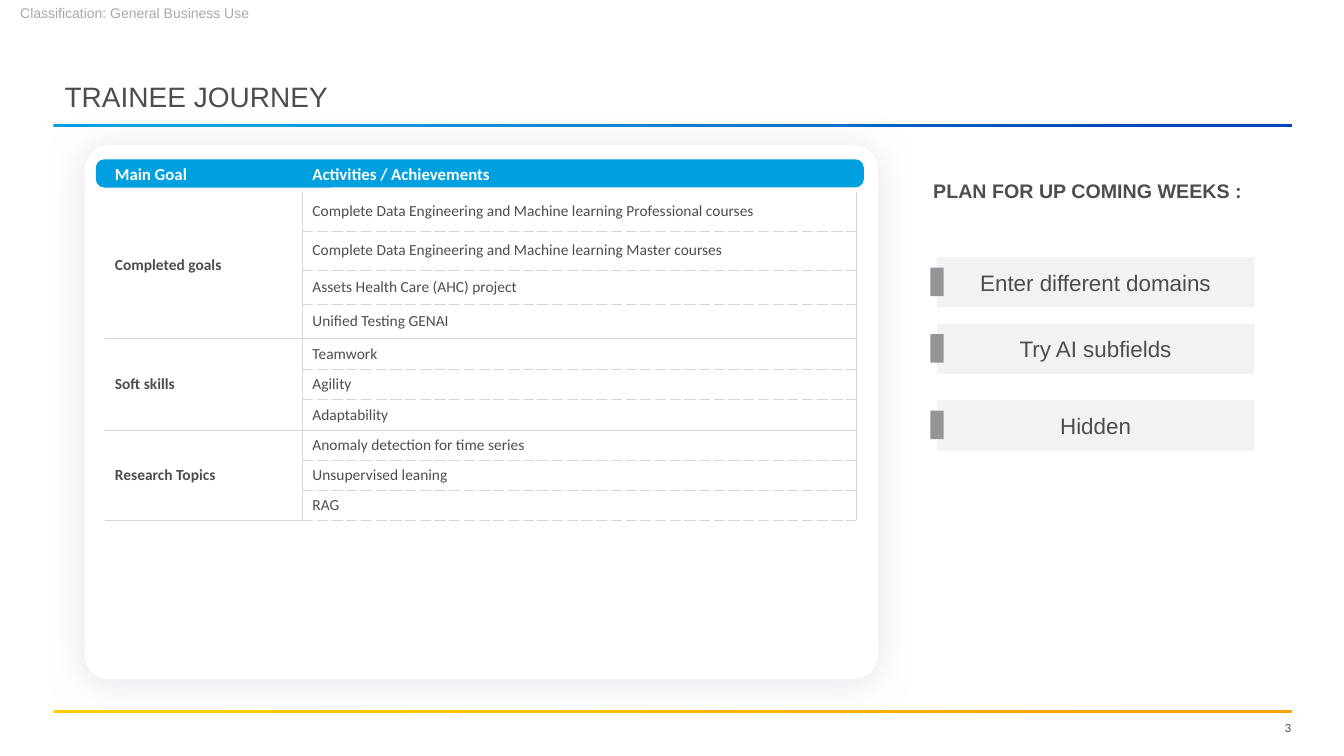
from lxml import etree
from pptx import Presentation
from pptx import util as u
from pptx.dml.color import RGBColor
from pptx.enum import shapes, text
from pptx.oxml import ns

prs = Presentation()
prs.slide_width, prs.slide_height = u.Inches(13.33), u.Inches(7.5)
# Lengths are shares of the slide: hundredths of its width and height
COL, ROW = prs.slide_width / 100, prs.slide_height / 100

INK, BLUE, WHITE, BORDER = "4D4D4D", "009FDF", "FFFFFF", "D4D5D6"
RECT, ROUND = shapes.MSO_SHAPE.RECTANGLE, shapes.MSO_SHAPE.ROUNDED_RECTANGLE
LEFT, CENTER, RIGHT = text.PP_ALIGN.LEFT, text.PP_ALIGN.CENTER, text.PP_ALIGN.RIGHT
MIDDLE, BOTTOM = text.MSO_ANCHOR.MIDDLE, text.MSO_ANCHOR.BOTTOM
NO_STYLE = "{2D5ABB26-0587-4C30-8999-92F81FD0307C}"

# Each goal with the heights of its rows and its activities
GOALS = [
    ("Completed goals", [5.2, 5.2, 4.53, 4.53], [
        "Complete Data Engineering and Machine learning Professional courses",
        "Complete Data Engineering and Machine learning Master courses",
        "Assets Health Care (AHC) project",
        "Unified Testing GENAI"]),
    ("Soft skills", [4.05] * 3, ["Teamwork", "Agility", "Adaptability"]),
    ("Research Topics", [3.95] * 3, [
        "Anomaly detection for time series", "Unsupervised leaning", "RAG"]),
]
PLANS = [(11.07, "Enter different domains"), (19.87, "Try AI subfields"), (30, "Hidden")]


def rgb(value):
    return RGBColor.from_string(value)


def emu(x, y, w, h):
    return [u.Emu(round(n)) for n in (x * COL, y * ROW, w * COL, h * ROW)]


def write(tf, words, size=11, color=INK, font="Arial", bold=False,
          align=LEFT, anchor=MIDDLE, inset=None, spacing=None):
    tf.word_wrap = True
    tf.vertical_anchor = anchor
    if inset is not None:
        tf.margin_left = tf.margin_right = tf.margin_top = tf.margin_bottom = u.Inches(inset)
    p = tf.paragraphs[0]
    p.alignment = align
    p.line_spacing = spacing
    r = p.add_run()
    r.text = words
    r.font.size, r.font.name, r.font.bold = u.Pt(size), font, bold
    r.font.color.rgb = rgb(color)


def add_text(s, box, words, **form):
    write(s.shapes.add_textbox(*emu(*box)).text_frame, words, **form)


def add_block(parent, kind, box, fill, radius=None):
    sp = parent.shapes.add_shape(kind, *emu(*box))
    sp.shadow.inherit = False
    sp.line.fill.background()
    sp.fill.solid()
    sp.fill.fore_color.rgb = rgb(fill)
    if radius:
        sp.adjustments[0] = radius
    return sp


def add_rule(s, y, start, end):
    sp = add_block(s, RECT, (3.98, y, 92.15, 0.4), start)
    sp.fill.gradient()
    sp.fill.gradient_angle = 0
    for stop, position, color in zip(sp.fill.gradient_stops, (0.1, 0.9), (start, end)):
        stop.position = position
        stop.color.rgb = rgb(color)


def add_soft_shadow(sp, color):
    effects = sp.element.spPr.find(ns.qn("a:effectLst"))
    shadow = etree.SubElement(effects, ns.qn("a:outerShdw"), blurRad=str(u.Pt(27)),
                              dist=str(u.Pt(2)), dir="5400000", algn="t", rotWithShape="0")
    etree.SubElement(shadow, ns.qn("a:srgbClr"), val=color)


def set_borders(cell, **dashes):
    """Draw the named edges, given in the order L, R, T, B."""
    tc_pr = cell._tc.get_or_add_tcPr()
    for edge, dash in dashes.items():
        ln = etree.SubElement(tc_pr, ns.qn("a:ln" + edge), w=str(u.Pt(0.5)))
        fill = etree.SubElement(ln, ns.qn("a:solidFill"))
        etree.SubElement(fill, ns.qn("a:srgbClr"), val=BORDER)
        etree.SubElement(ln, ns.qn("a:prstDash"), val=dash)


def frame(s, title):
    """Title, coloured rules, classification and page number."""
    add_rule(s, 16.4, BLUE, "0047BB")
    add_rule(s, 93.87, "FFCD00", "FFA300")
    add_text(s, (0, 0, 20.03, 3.47), "Classification: General Business Use",
             size=10, color="A7A8AA", align=CENTER, inset=0)
    add_text(s, (89.62, 94.93, 6.45, 2.53), "3", size=9, font="Calibri",
             align=RIGHT, inset=0)
    sp = s.shapes.title
    sp.left, sp.top, sp.width, sp.height = emu(4.05, 9.87, 81.53, 5.73)
    write(sp.text_frame, title, size=20)


def goals_card(s, x, y, w, h):
    """White card with the table of goals and activities."""
    add_soft_shadow(add_block(s, ROUND, (x, y, w, h), WHITE, 0.047), "E3E4ED")
    add_block(s, ROUND, (x + 0.83, y + 1.87, w - 1.88, 3.73), BLUE, 0.303)

    heights = [4.27] + [height for _, rows, _ in GOALS for height in rows]
    widths = [14.7, 41.18]
    gf = s.shapes.add_table(len(heights), 2, *emu(x + 1.5, y + 1.87, sum(widths), sum(heights)))
    next(gf.element.iter(ns.qn("a:tableStyleId"))).text = NO_STYLE
    table = gf.table
    for column, width in zip(table.columns, widths):
        column.width = u.Emu(round(width * COL))
    for row, height in zip(table.rows, heights):
        row.height = u.Emu(round(height * ROW))

    # Header row
    for cell, words in zip(table.rows[0].cells, ("Main Goal", "Activities / Achievements")):
        write_cell(cell, words, size=12, color=WHITE, bold=True, spacing=0.85)
        cell.margin_top = cell.margin_bottom = u.Inches(0.04)

    # One merged goal cell beside its activities
    first = 1
    for goal, _, activities in GOALS:
        last = first + len(activities) - 1
        for i, activity in enumerate(activities, first):
            ends_group = i == last < len(heights) - 1
            set_borders(table.cell(i, 0), R="solid", B="solid")
            set_borders(table.cell(i, 1), L="solid", R="solid",
                        B="solid" if ends_group else "lgDash")
            write_cell(table.cell(i, 1), activity)
        table.cell(first, 0).merge(table.cell(last, 0))
        write_cell(table.cell(first, 0), goal, bold=True)
        first = last + 1


def write_cell(cell, words, **form):
    write(cell.text_frame, words, font="Calibri", **form)
    cell.vertical_anchor = MIDDLE
    cell.fill.background()


def plan_list(s, x, y, w):
    """Heading above a column of tabbed bars."""
    add_text(s, (x, y, w, 4.53), "PLAN FOR UP COMING WEEKS :",
             size=14, bold=True, anchor=BOTTOM)
    for offset, words in PLANS:
        group = s.shapes.add_group_shape()
        bar = add_block(group, RECT, (x + 1, y + offset, w - 4.12, 6.67), "F2F2F2")
        write(bar.text_frame, words, size=16, align=CENTER, inset=0.08)
        add_block(group, RECT, (x + 0.53, y + offset + 1.4, 0.98, 3.78), "939598")


def main():
    s = prs.slides.add_slide(prs.slide_layouts[5])
    frame(s, "TRAINEE JOURNEY")
    goals_card(s, 6.3, 19.2, 59.03, 70.67)
    plan_list(s, 68.7, 22.93, 27.75)
    prs.save("out.pptx")


if __name__ == "__main__":
    main()
